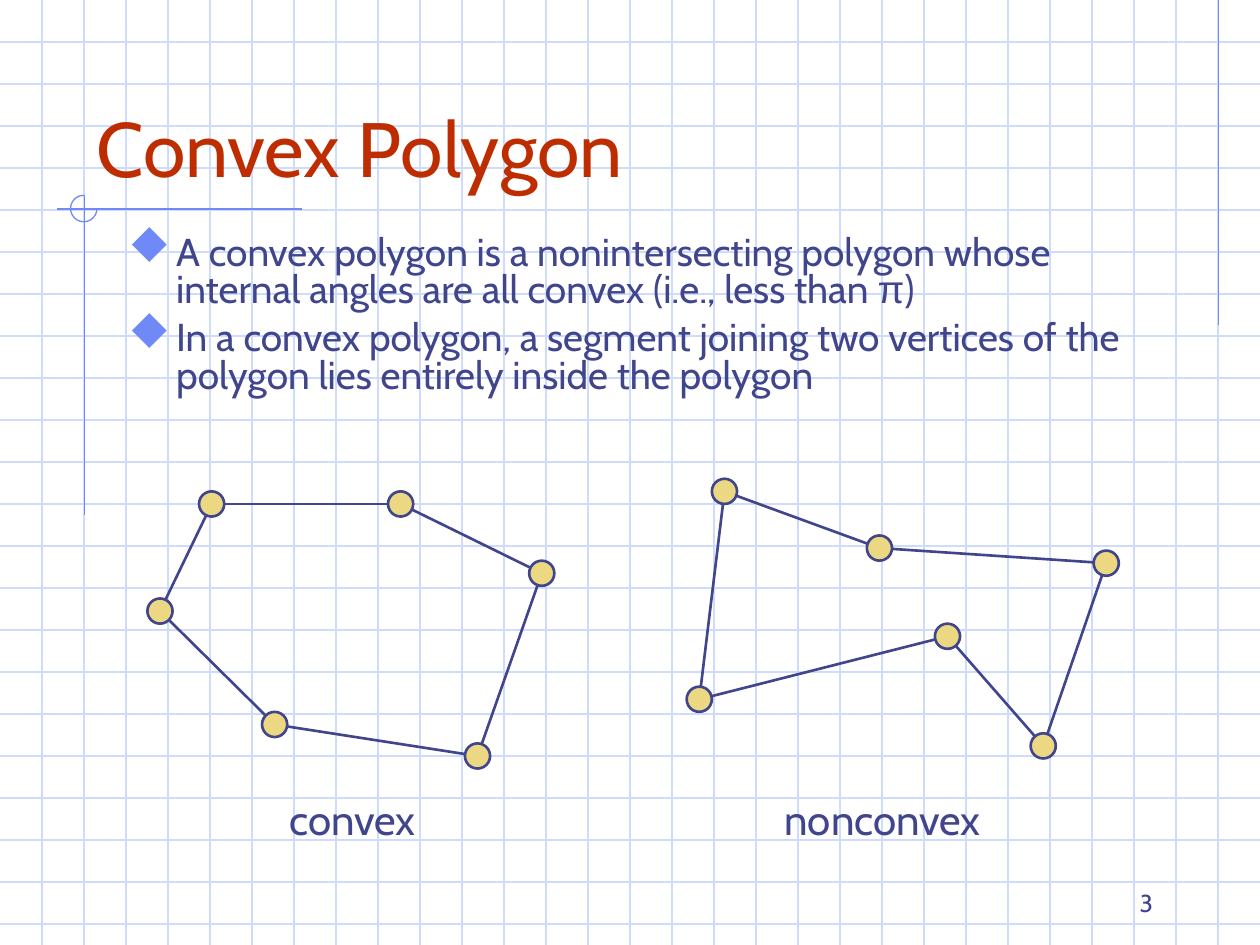
from lxml import etree
from pptx import Presentation
from pptx.dml.color import RGBColor
from pptx.enum import shapes, text
from pptx.oxml import ns
from pptx.util import Inches, Pt

GRID = RGBColor(0xCF, 0xDB, 0xFD)
ACCENT = RGBColor(0x6F, 0x89, 0xF7)
INK = RGBColor(0x40, 0x45, 0x8C)
TITLE = RGBColor(0xBE, 0x2D, 0x00)
VERTEX = RGBColor(0xEC, 0xD8, 0x82)

deck = Presentation()
deck.slide_width, deck.slide_height = Inches(10), Inches(7.5)
slide = deck.slides.add_slide(deck.slide_layouts[6])


def add_line(start, end, color, width):
    line = slide.shapes.add_connector(
        shapes.MSO_CONNECTOR.STRAIGHT, *[Inches(v) for v in (*start, *end)])
    line.line.color.rgb = color
    line.line.width = Pt(width)
    etree.SubElement(line._element.spPr, ns.qn("a:effectLst"))


def add_text(box, paragraphs, size, color, align=text.PP_ALIGN.LEFT,
             anchor=text.MSO_ANCHOR.TOP, wrap=True, bullet=False):
    frame = slide.shapes.add_textbox(*[Inches(v) for v in box]).text_frame
    frame.word_wrap = wrap
    frame.vertical_anchor = anchor
    for i, runs in enumerate(paragraphs):
        paragraph = frame.add_paragraph() if i else frame.paragraphs[0]
        paragraph.alignment = align
        if bullet:
            props = paragraph._p.get_or_add_pPr()
            props.set("marL", str(Inches(0.38)))
            props.set("indent", str(Inches(-0.38)))
            tint = etree.SubElement(props, ns.qn("a:buClr"))
            etree.SubElement(tint, ns.qn("a:srgbClr"), val=str(ACCENT))
            etree.SubElement(props, ns.qn("a:buSzPct"), val="110000")
            etree.SubElement(props, ns.qn("a:buFont"), typeface="Wingdings",
                             pitchFamily="2", charset="2")
            etree.SubElement(props, ns.qn("a:buChar"), char="u")
            paragraph.line_spacing = 0.8
            if i:
                paragraph.space_before = Pt(6)
        for words, font in runs:
            run = paragraph.add_run()
            run.text = words
            run.font.name = font
            run.font.size = Pt(size)
            run.font.color.rgb = color


for row in range(1, 23):
    add_line((0, row / 3), (10, row / 3), GRID, 0.75)
for column in range(1, 30):
    add_line((column / 3, 0), (column / 3, 7.5), GRID, 0.75)

add_line((9.67, 0), (9.67, 2.58), ACCENT, 0.75)
add_line((2.4, 1.66), (0.45, 1.66), ACCENT, 0.75)
add_line((0.67, 1.55), (0.67, 4.09), ACCENT, 0.75)
corner_arc = slide.shapes.add_shape(
    shapes.MSO_SHAPE.ARC, Inches(0.56), Inches(1.55), Inches(0.21), Inches(0.21))
corner_arc.adjustments[0] = 0
corner_arc.adjustments[1] = 162
corner_arc.shadow.inherit = False
corner_arc.fill.background()
corner_arc.line.color.rgb = ACCENT
corner_arc.line.width = Pt(0.75)

add_text((0.67, 0.33, 8.5, 1.25), [[("Convex Polygon", "Cabin")]], 44, TITLE,
         anchor=text.MSO_ANCHOR.BOTTOM)
definitions = [
    [("A convex polygon is a nonintersecting polygon whose internal angles "
      "are all convex (i.e., less than ", "Cabin"), ("π", "Arial"), (")", "Cabin")],
    [("In a convex polygon, a segment joining two vertices of the polygon "
      "lies entirely inside the polygon", "Cabin")],
]
add_text((0.92, 1.83, 8.5, 1.75), definitions, 22.2, INK, bullet=True)

polygons = [
    ("convex", (2.15, 6.25, 1.3, 0.5),
     [(1.68, 4), (1.27, 4.85), (2.18, 5.75), (3.79, 6), (4.3, 4.55), (3.18, 4)]),
    ("nonconvex", (6.05, 6.25, 1.91, 0.5),
     [(5.75, 3.9), (5.55, 5.55), (7.52, 5.05), (8.28, 5.92), (8.78, 4.47), (6.98, 4.35)]),
]
for label, label_box, vertices in polygons:
    for start, end in zip(vertices, vertices[1:] + vertices[:1]):
        add_line(start, end, INK, 1.5)
    for x, y in vertices:
        vertex = slide.shapes.add_shape(
            shapes.MSO_SHAPE.OVAL, Inches(x - 0.1), Inches(y - 0.1), Inches(0.2), Inches(0.2))
        vertex.shadow.inherit = False
        vertex.fill.solid()
        vertex.fill.fore_color.rgb = VERTEX
        vertex.line.color.rgb = INK
        vertex.line.width = Pt(1.5)
    add_text(label_box, [[(label, "Cabin")]], 24, INK, text.PP_ALIGN.CENTER, wrap=False)

add_text((7.17, 6.83, 2.08, 0.5), [[("3", "Cabin")]], 14, INK,
         text.PP_ALIGN.RIGHT, text.MSO_ANCHOR.BOTTOM)

deck.save("out.pptx")
